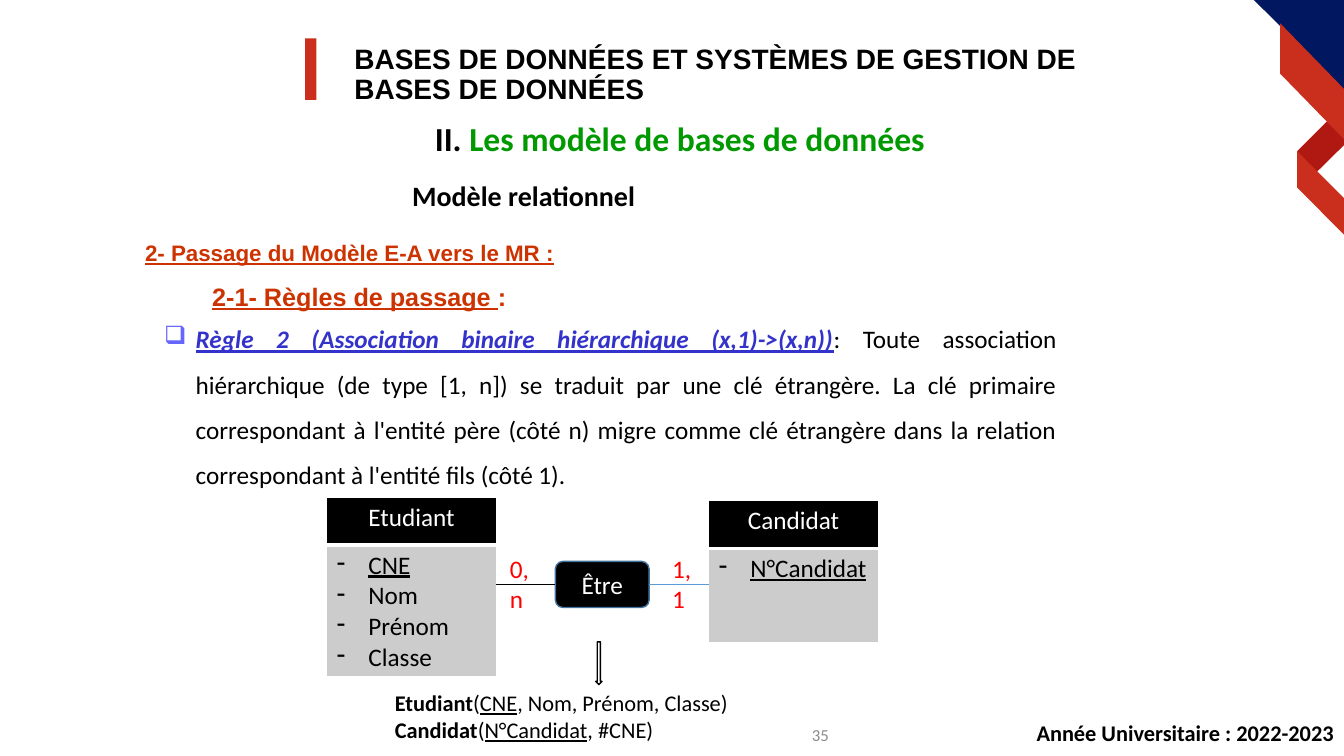
from lxml import etree
from pptx import Presentation
from pptx import util as u
from pptx.dml import color
from pptx.enum import shapes, text
from pptx.oxml import ns

Pt = u.Pt
AL = text.PP_ALIGN
MID = text.MSO_ANCHOR.MIDDLE
BLACK, WHITE, GREY = "000000", "FFFFFF", "CCCCCC"
RED, BRICK, RUST = "CA2F1D", "CB2E1D", "CC3300"


def rgb(hue):
    return color.RGBColor.from_string(hue)


def sub(node, tag, **attrs):
    return etree.SubElement(node, ns.qn(tag), **attrs)


class Deck:
    font = "Calibri"
    size = 18
    ink = BLACK

    def __init__(self):
        self.prs = Presentation()
        self.prs.slide_width = Pt(960)
        self.prs.slide_height = Pt(540)
        self.slide = self.prs.slides.add_slide(self.prs.slide_layouts[6])
        self.items = self.slide.shapes

    def para(self, frame, runs, first=True, size=None, ink=None, font=None,
             align=AL.LEFT, space=None, left=0, mark=None, tint=None):
        p = frame.paragraphs[0] if first else frame.add_paragraph()
        p.alignment = align
        props = p._p.get_or_add_pPr()
        if left:
            props.set("marL", str(Pt(left)))
        if mark:
            props.set("indent", str(-Pt(left)))
            if tint:
                sub(sub(props, "a:buClr"), "a:srgbClr", val=tint)
            sub(props, "a:buChar", char=mark)
        if space:
            p.line_spacing = space
        for words, style, *hue in runs:
            run = p.add_run()
            run.text = words
            f = run.font
            f.name = font or self.font
            f.size = Pt(size or self.size)
            f.color.rgb = rgb(hue[0] if hue else ink or self.ink)
            f.bold = "b" in style
            f.italic = "i" in style
            f.underline = "u" in style

    def box(self, x, y, w, h, lines, anchor=None, **style):
        frame = self.items.add_textbox(Pt(x), Pt(y), Pt(w), Pt(h)).text_frame
        frame.word_wrap = True
        if anchor is not None:
            frame.vertical_anchor = anchor
        for i, runs in enumerate(lines):
            self.para(frame, runs, i == 0, **style)
        return frame

    def paint(self, shape, fill, line=None, width=1):
        shape.shadow.inherit = False
        if fill:
            shape.fill.solid()
            shape.fill.fore_color.rgb = rgb(fill)
        else:
            shape.fill.background()
        if line:
            shape.line.color.rgb = rgb(line)
            shape.line.width = Pt(width)
        else:
            shape.line.fill.background()
        return shape

    def shape(self, kind, x, y, w, h, fill=None, line=None):
        item = self.items.add_shape(kind, Pt(x), Pt(y), Pt(w), Pt(h))
        return self.paint(item, fill, line)

    def poly(self, fill, start, *rest):
        pen = self.items.build_freeform(Pt(start[0]), Pt(start[1]))
        pen.add_line_segments([(Pt(x), Pt(y)) for x, y in rest], close=True)
        self.paint(pen.convert_to_shape(), fill)

    def link(self, x1, x2, y, hue):
        line = self.items.add_connector(
            shapes.MSO_CONNECTOR.STRAIGHT, Pt(x1), Pt(y), Pt(x2), Pt(y))
        line.line.color.rgb = rgb(hue)
        line.line.width = Pt(0.5)
        sub(line._element.spPr, "a:effectLst")
        return line

    def edge(self, cell, base):
        props = cell._tc.get_or_add_tcPr()
        for i, (side, width) in enumerate(
                (("L", 1), ("R", 1), ("T", 1), ("B", base))):
            ln = etree.Element(ns.qn("a:ln" + side), w=str(Pt(width)))
            sub(sub(ln, "a:solidFill"), "a:srgbClr", val=WHITE)
            props.insert(i, ln)

    def entity(self, x, y, low, name, fields):
        table = self.items.add_table(
            2, 1, Pt(x), Pt(y), Pt(121), Pt(34 + low)).table
        head, body = table.cell(0, 0), table.cell(1, 0)
        for row, high, cell, fill, base in (
                (0, 34, head, BLACK, 3), (1, low, body, GREY, 1)):
            table.rows[row].height = Pt(high)
            cell.fill.solid()
            cell.fill.fore_color.rgb = rgb(fill)
            self.edge(cell, base)
        self.para(head.text_frame, [(name, "")], ink=WHITE, align=AL.CENTER)
        for i, (field, style) in enumerate(fields):
            self.para(body.text_frame, [(field, style)], i == 0,
                      left=22.5, mark="-")


def main():
    deck = Deck()
    kind = shapes.MSO_SHAPE

    deck.poly("B01912", (949.7, 85), (960, 97.2), (960, 103.7),
              (939.6, 123.8), (926.6, 108))
    deck.poly("011760", (895.7, 0), (960, 0), (960, 64))
    deck.poly(RED, (926.6, 108), (960, 141.5), (960, 167.5), (926.6, 134))
    deck.poly(RED, (914.4, 16.6), (960, 63.5), (960, 99.4), (914.4, 52.6))

    deck.shape(kind.RECTANGLE, 218, 27.4, 8, 44, BRICK)
    deck.box(246, 28.8, 569, 47, [[
        ("BASES DE DONNÉES ET SYSTÈMES DE GESTION DE BASES DE DONNÉES", "b")]],
        size=20, font="Arial", space=0.9)
    deck.box(303.5, 84.2, 420, 34, [[
        ("II. ", "b"), ("Les modèle de bases de données", "b", "009900")]],
        size=24, space=0.9)
    deck.box(287.3, 123.8, 175, 32, [[("Modèle relationnel", "b")]], size=20)

    heads = deck.box(
        96.5, 157.7, 705, 70,
        [[("2- Passage du Modèle E-A vers le MR :", "bu")]],
        size=16, ink=RUST, font="Arial", space=1.5)
    deck.para(heads, [("2-1- Règles de passage ", "bu"), (":", "b")], False,
              ink=RUST, font="Arial", space=1.5, left=48)

    deck.box(110.2, 216.7, 651.6, 134, [[
        ("Règle 2 (Association binaire hiérarchique (x,1)->(x,n))", "biu",
         "3333CC"),
        (": Toute association hiérarchique (de type [1, n]) se traduit par "
         "une clé étrangère. La clé primaire correspondant à l'entité père "
         "(côté n) migre comme clé étrangère dans la relation correspondant "
         "à l'entité fils (côté 1).", "")]],
        align=AL.JUSTIFY, space=1.5, left=22.5, mark="❑", tint="6666FF")

    deck.entity(233.5, 355.3, 94, "Etudiant", [
        ("CNE", "u"), ("Nom", ""), ("Prénom", ""), ("Classe", "")])
    deck.entity(506.3, 357.8, 67, "Candidat", [("N°Candidat", "u")])

    verb = deck.shape(kind.ROUNDED_RECTANGLE, 396.7, 401, 67, 33,
                      BLACK, "43739E")
    verb.text_frame.vertical_anchor = MID
    deck.para(verb.text_frame, [("Être", "")], ink=WHITE, align=AL.CENTER)
    deck.link(354.5, 396.7, 417.5, BLACK).end_connect(verb, 1)
    deck.link(463.7, 506.3, 417.5, "5B9BD5").begin_connect(verb, 3)
    for x, count in ((357.1, "0,n"), (473, "1,1")):
        deck.box(x, 391.7, 34, 51, [[(count, "")]], ink="FF0000")

    deck.shape(kind.DOWN_ARROW, 425.5, 458.5, 4.5, 30.5, line=BLACK)
    deck.box(275, 488.9, 291, 46, [
        [("Etudiant", "b"), ("(", ""), ("CNE", "u"),
         (", Nom, Prénom, Classe)", "")],
        [("Candidat", "b"), ("(", ""), ("N°Candidat", "u"),
         (", #CNE)", "")]], size=16)
    deck.box(478, 510.5, 216, 29, [[("35", "")]], MID,
             size=12, ink="8C8C8C", align=AL.CENTER)
    deck.box(700, 512.5, 260, 25, [[("Année Universitaire : 2022-2023", "b")]],
             size=16, align=AL.RIGHT, space=0.9)

    deck.prs.save("out.pptx")


if __name__ == "__main__":
    main()
